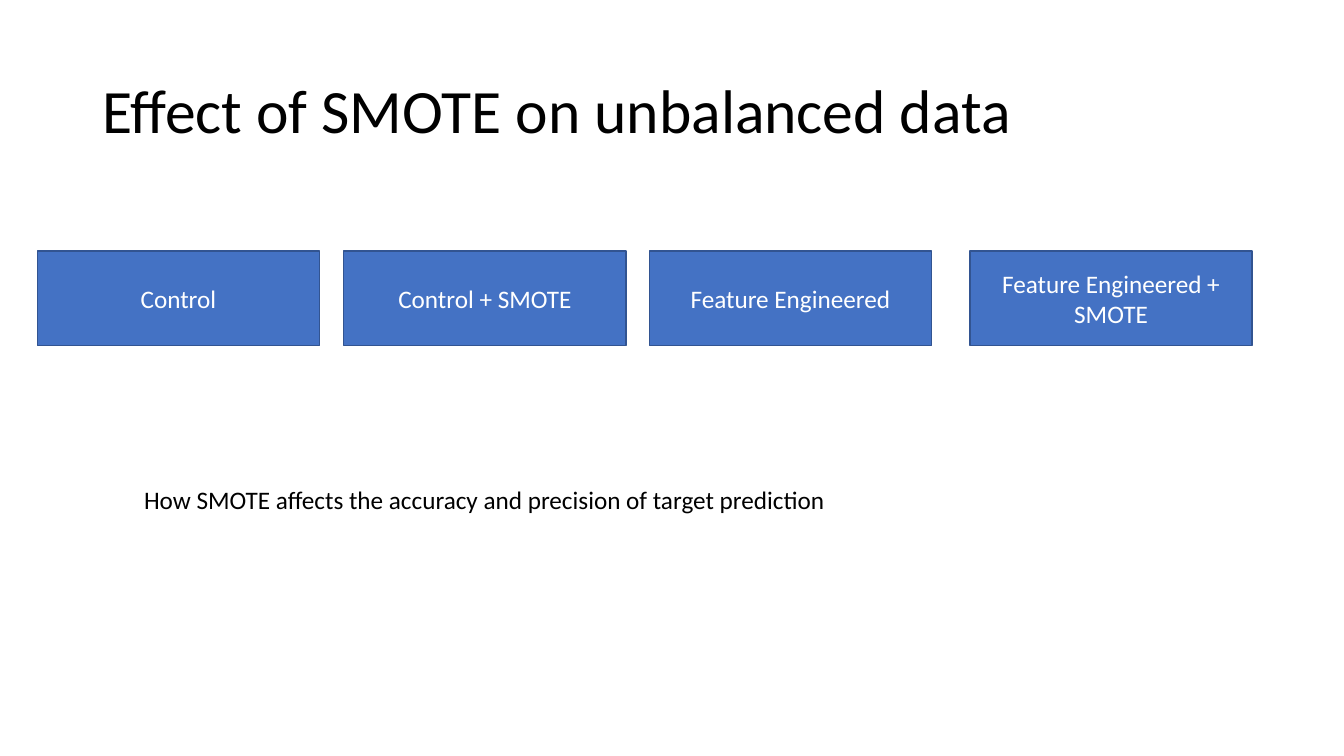
from dataclasses import dataclass

from pptx import Presentation
from pptx.dml.color import RGBColor
from pptx.enum.shapes import MSO_SHAPE
from pptx.enum.text import MSO_ANCHOR, PP_ALIGN
from pptx.util import Inches, Pt

RECT = MSO_SHAPE.RECTANGLE
TOP, MIDDLE = MSO_ANCHOR.TOP, MSO_ANCHOR.MIDDLE
LEFT, CENTER = PP_ALIGN.LEFT, PP_ALIGN.CENTER


@dataclass(frozen=True)
class Theme:
    font: str = "Calibri"
    text: str = "000000"
    box_text: str = "FFFFFF"
    box_fill: str = "4472C4"
    box_line: str = "325491"
    title_size: int = 44
    body_size: int = 18


def rgb(value):
    return RGBColor.from_string(value)


def write(tf, text, *, font, size, color, align=LEFT, anchor=TOP, spacing=1.0):
    tf.word_wrap = True
    tf.vertical_anchor = anchor
    p = tf.paragraphs[0]
    p.alignment = align
    p.line_spacing = spacing
    r = p.add_run()
    r.text = text
    r.font.name = font
    r.font.size = Pt(size)
    r.font.color.rgb = rgb(color)


class SlideBuilder:
    def __init__(self, slide, theme):
        self.s = slide
        self.theme = theme

    def text(self, text, left, top, width, height, **fmt):
        sp = self.s.shapes.add_textbox(
            Inches(left), Inches(top), Inches(width), Inches(height))
        write(sp.text_frame, text, font=self.theme.font,
              color=self.theme.text, **fmt)

    def box(self, text, left, top, width, height):
        t = self.theme
        sp = self.s.shapes.add_shape(
            RECT, Inches(left), Inches(top), Inches(width), Inches(height))
        sp.shadow.inherit = False
        sp.fill.solid()
        sp.fill.fore_color.rgb = rgb(t.box_fill)
        sp.line.color.rgb = rgb(t.box_line)
        sp.line.width = Pt(1)
        write(sp.text_frame, text, font=t.font, size=t.body_size,
              color=t.box_text, align=CENTER, anchor=MIDDLE)


prs = Presentation()
prs.slide_width, prs.slide_height = Inches(13.33), Inches(7.5)
theme = Theme()
builder = SlideBuilder(prs.slides.add_slide(prs.slide_layouts[6]), theme)

# Title
builder.text("Effect of SMOTE on unbalanced data", 0.92, 0.4, 11.5, 1.45,
             size=theme.title_size, anchor=MIDDLE, spacing=0.9)

# Compared datasets; the last box stands slightly apart
datasets = [
    ("Control", 0.37),
    ("Control + SMOTE", 3.41),
    ("Feature Engineered", 6.44),
    ("Feature Engineered + SMOTE", 9.62),
]
for name, left in datasets:
    builder.box(name, left, 2.49, 2.8, 0.94)

# Research question
builder.text("How SMOTE affects the accuracy and precision of target prediction",
             1.33, 4.76, 8.52, 0.4, size=theme.body_size)

prs.save("out.pptx")
